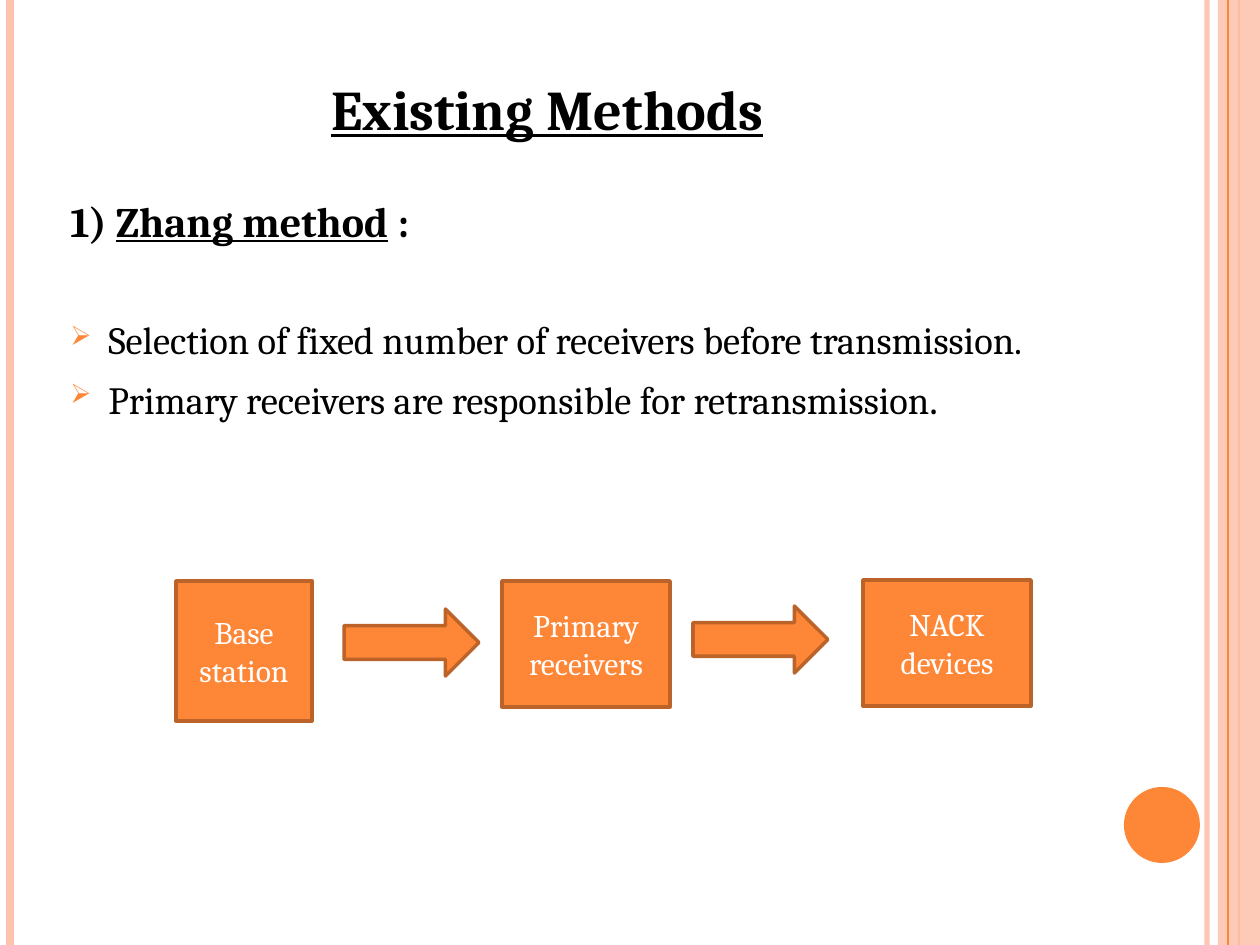
"""Build the slide on the Zhang method with its flow from base station to NACK devices."""
from typing import NamedTuple

from lxml import etree
from pptx import Presentation
from pptx.dml.color import RGBColor
from pptx.enum.shapes import MSO_CONNECTOR, MSO_SHAPE
from pptx.enum.text import MSO_ANCHOR, PP_ALIGN
from pptx.oxml.ns import qn
from pptx.util import Emu, Pt

RECTANGLE, ARROW, OVAL = MSO_SHAPE.RECTANGLE, MSO_SHAPE.RIGHT_ARROW, MSO_SHAPE.OVAL
STRAIGHT, MIDDLE, CENTER = MSO_CONNECTOR.STRAIGHT, MSO_ANCHOR.MIDDLE, PP_ALIGN.CENTER
ORANGE = RGBColor(0xFE, 0x86, 0x37)
DARK_ORANGE = RGBColor(0xBC, 0x63, 0x29)
PEACH = RGBColor(0xFE, 0xC3, 0xAE)
BLACK = RGBColor(0, 0, 0)
WHITE = RGBColor(0xFF, 0xFF, 0xFF)
FONT = "Cambria"
PIXELS_PER_INCH = 126
SLIDE_WIDTH, SLIDE_HEIGHT = 1260, 945
BULLET_INDENT = 38


class Box(NamedTuple):
    left: int
    top: int
    width: int
    height: int


class Stripe(NamedTuple):
    x: int
    color: RGBColor
    weight: float
    opacity: int = 100


class Step(NamedTuple):
    kind: int
    box: Box
    label: str = ""


class Words(NamedTuple):
    text: str
    size: int
    bold: bool = False
    underline: bool = False
    color: RGBColor = BLACK


class Line(NamedTuple):
    runs: list[Words]
    space_before: int = 6
    bullet: bool = False


BACK_STRIPES = [
    Stripe(1207, PEACH, 3, 93),
    Stripe(10, PEACH, 4.5),
    Stripe(1239, ORANGE, 1.5),
]
FRONT_STRIPE = Stripe(1228, ORANGE, 0.75)
SIDE_BAND = Box(1218, 0, 42, SLIDE_HEIGHT)
CORNER_DISC = Box(1124, 787, 76, 76)
TITLE_BOX = Box(319, 68, 609, 81)
BODY_BOX = Box(58, 189, 1061, 630)

TITLE = [Line([Words("Existing Methods", 32, True, True)], 0)]
BODY = [
    Line([Words("1) ", 24, True), Words("Zhang method", 24, True, True), Words(" :", 24, True)]),
    Line([Words("Selection of fixed number of receivers before transmission.", 22)], 40, True),
    Line([Words("Primary receivers are responsible for retransmission", 22), Words(".", 24)], 6, True),
]
FLOW = [
    Step(RECTANGLE, Box(176, 581, 136, 140), "Base station"),
    Step(ARROW, Box(344, 609, 135, 67)),
    Step(RECTANGLE, Box(502, 581, 168, 126), "Primary receivers"),
    Step(ARROW, Box(693, 606, 135, 67)),
    Step(RECTANGLE, Box(863, 580, 168, 126), "NACK devices"),
]


def px(length: int) -> Emu:
    return Emu(round(length * 914400 / PIXELS_PER_INCH))


def set_opacity(properties, percent: int) -> None:
    color = next(properties.iter(qn("a:srgbClr")))
    etree.SubElement(color, qn("a:alpha"), val=str(percent * 1000))


def add_stripe(slide, stripe: Stripe) -> None:
    x = px(stripe.x)
    connector = slide.shapes.add_connector(STRAIGHT, x, 0, x, px(SLIDE_HEIGHT))
    connector.line.color.rgb = stripe.color
    connector.line.width = Pt(stripe.weight)
    properties = connector._element.spPr
    etree.SubElement(properties, qn("a:effectLst"))
    if stripe.opacity < 100:
        set_opacity(properties, stripe.opacity)


def add_filled(slide, kind: int, box: Box, color: RGBColor):
    shape = slide.shapes.add_shape(kind, *map(px, box))
    shape.shadow.inherit = False
    shape.fill.solid()
    shape.fill.fore_color.rgb = color
    shape.line.fill.background()
    return shape


def add_run(paragraph, words: Words) -> None:
    run = paragraph.add_run()
    run.text = words.text
    font = run.font
    font.name, font.size = FONT, Pt(words.size)
    font.bold, font.underline = words.bold, words.underline
    font.color.rgb = words.color


def add_bullet(paragraph) -> None:
    properties = paragraph._p.get_or_add_pPr()
    properties.set("marL", str(px(BULLET_INDENT)))
    properties.set("indent", str(-px(BULLET_INDENT)))
    color = etree.SubElement(properties, qn("a:buClr"))
    etree.SubElement(color, qn("a:srgbClr"), val=str(ORANGE))
    etree.SubElement(properties, qn("a:buSzPct"), val="70000")
    etree.SubElement(properties, qn("a:buChar"), char="➢")


def add_text(slide, box: Box, lines: list[Line]) -> None:
    frame = slide.shapes.add_textbox(*map(px, box)).text_frame
    frame.word_wrap = True
    for index, line in enumerate(lines):
        paragraph = frame.add_paragraph() if index else frame.paragraphs[0]
        paragraph.space_before = Pt(line.space_before)
        if line.bullet:
            add_bullet(paragraph)
        for words in line.runs:
            add_run(paragraph, words)


def add_step(slide, step: Step) -> None:
    shape = add_filled(slide, step.kind, step.box, ORANGE)
    shape.line.color.rgb = DARK_ORANGE
    shape.line.width = Pt(2)
    if step.label:
        frame = shape.text_frame
        frame.word_wrap = True
        frame.vertical_anchor = MIDDLE
        paragraph = frame.paragraphs[0]
        paragraph.alignment = CENTER
        add_run(paragraph, Words(step.label, 18, color=WHITE))


def main() -> None:
    presentation = Presentation()
    presentation.slide_width, presentation.slide_height = px(SLIDE_WIDTH), px(SLIDE_HEIGHT)
    slide = presentation.slides.add_slide(presentation.slide_layouts[6])
    for stripe in BACK_STRIPES:
        add_stripe(slide, stripe)
    band = add_filled(slide, RECTANGLE, SIDE_BAND, PEACH)
    set_opacity(band._element.spPr, 87)
    add_stripe(slide, FRONT_STRIPE)
    add_filled(slide, OVAL, CORNER_DISC, ORANGE)
    add_text(slide, BODY_BOX, BODY)
    for step in FLOW:
        add_step(slide, step)
    add_text(slide, TITLE_BOX, TITLE)
    presentation.save("out.pptx")


if __name__ == "__main__":
    main()
